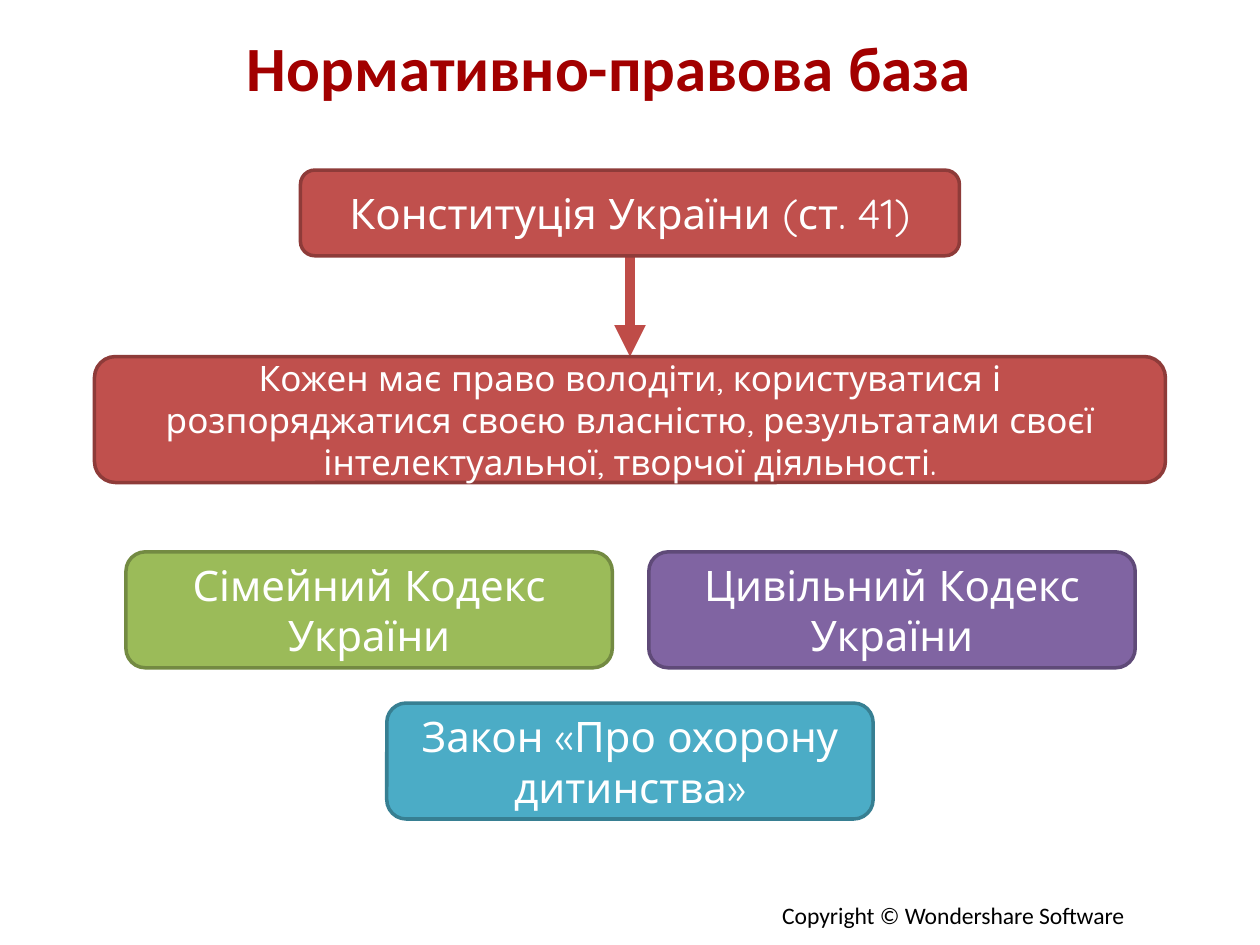
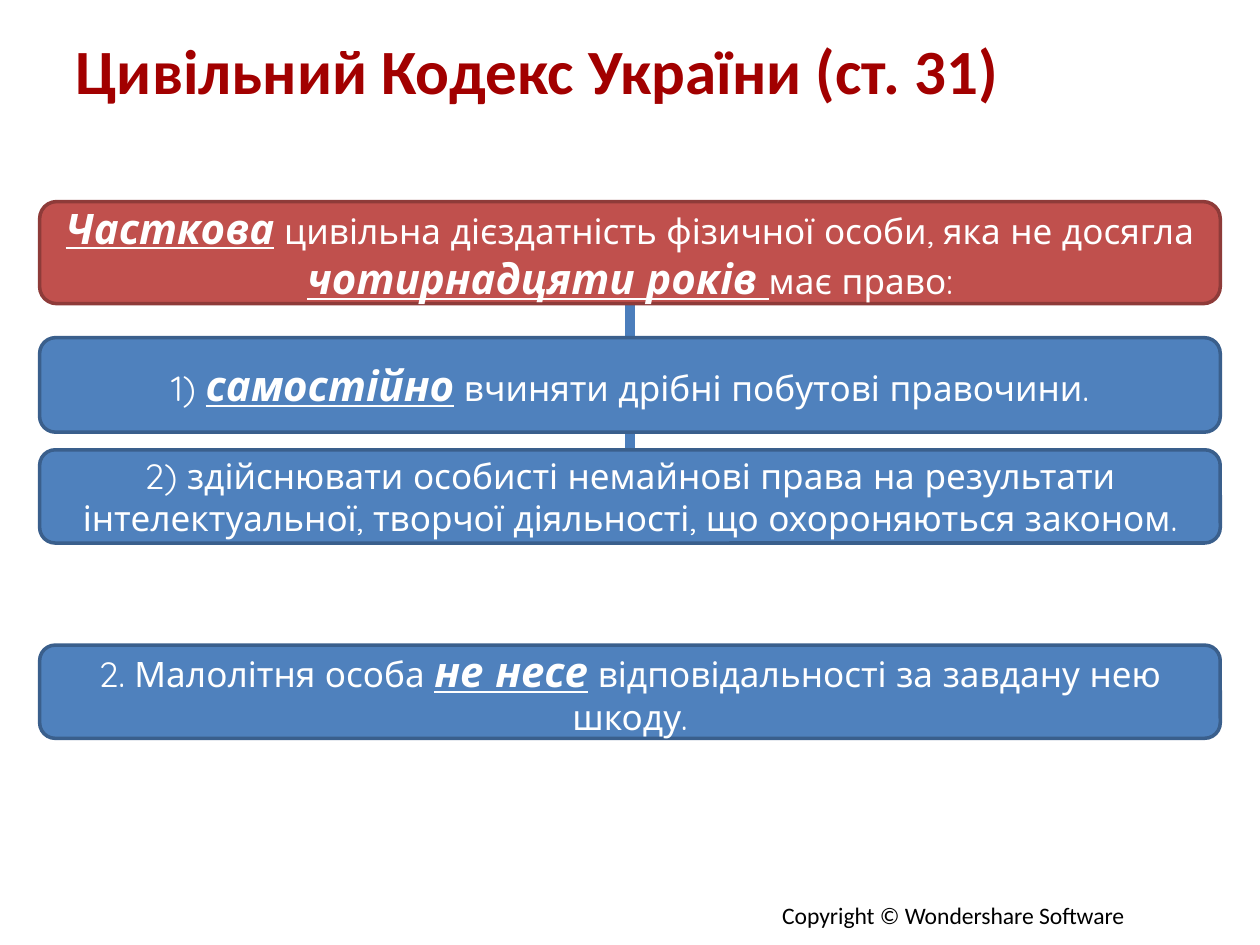
from lxml import etree
from pptx import Presentation
from pptx.dml.color import RGBColor
from pptx.enum.shapes import MSO_CONNECTOR, MSO_SHAPE
from pptx.enum.text import MSO_ANCHOR as ANCHOR, MSO_AUTO_SIZE as AUTO, PP_ALIGN as ALIGN
from pptx.oxml.ns import qn
from pptx.util import Inches, Pt

COLS, ROWS = 100, 75
MIDDLE = COLS / 2
TITLE_ONLY = 5
COLORS = {
    "title": "A20000", "footer": "000000", "text": "FFFFFF",
    "red": "C0504D", "red_edge": "8E3B39", "red_line": "BF4C48",
    "green": "9BBB59", "green_edge": "738A42",
    "purple": "8064A2", "purple_edge": "5F4A78",
    "aqua": "4BACC6", "aqua_edge": "377F92",
    "blue": "4F81BD", "blue_edge": "3A5F8C", "blue_line": "4B7EBC",
}


def rgb(name):
    return RGBColor.from_string(COLORS[name])


class Deck:
    """Holds the shared style and the slide being drawn, on a grid of COLS by ROWS."""

    title_font, box_font = "Calibri", "Quicksand"
    big, small = 24, 20

    def __init__(self):
        self.prs = Presentation()
        self.prs.slide_width, self.prs.slide_height = Inches(10), Inches(7.5)
        self.slide = None

    def x(self, cols):
        return round(self.prs.slide_width * cols / COLS)

    def y(self, rows):
        return round(self.prs.slide_height * rows / ROWS)

    def frame(self, left, top, width, height):
        return self.x(left), self.y(top), self.x(width), self.y(height)

    def style(self, r, font, size, color, bold=False):
        r.font.name, r.font.size, r.font.bold = font, Pt(size), bold
        r.font.color.rgb = rgb(color)

    def new_slide(self, title, left, top, width):
        self.slide = self.prs.slides.add_slide(self.prs.slide_layouts[TITLE_ONLY])
        sp = self.slide.shapes.title
        sp.left, sp.top, sp.width, sp.height = self.frame(left, top, width, 6.8)
        tf = sp.text_frame
        tf.text = title
        tf.auto_size, tf.vertical_anchor = AUTO.NONE, ANCHOR.MIDDLE
        p = tf.paragraphs[0]
        p.alignment = ALIGN.JUSTIFY
        self.style(p.runs[0], self.title_font, 36, "title", bold=True)
        self.footer()

    def footer(self):
        tf = self.slide.shapes.add_textbox(*self.frame(61.1, 71, 29.7, 3.3)).text_frame
        tf.text = "Copyright © Wondershare Software"
        tf.word_wrap, tf.auto_size = False, AUTO.SHAPE_TO_FIT_TEXT
        self.style(tf.paragraphs[0].runs[0], self.title_font, 13.5, "footer")

    def box(self, text, top, width, height, color, size=small, center=MIDDLE):
        """Draw a rounded box; text between asterisks is large, bold, italic and underlined."""
        sp = self.slide.shapes.add_shape(
            MSO_SHAPE.ROUNDED_RECTANGLE, *self.frame(center - width / 2, top, width, height))
        sp.shadow.inherit = False
        sp.fill.solid()
        sp.fill.fore_color.rgb = rgb(color)
        sp.line.color.rgb = rgb(color + "_edge")
        sp.line.width = Pt(2)
        tf = sp.text_frame
        tf.word_wrap, tf.vertical_anchor = True, ANCHOR.MIDDLE
        p = tf.paragraphs[0]
        p.alignment = ALIGN.CENTER
        for i, part in enumerate(text.split("*")):
            if not part:
                continue
            strong = i % 2 == 1
            r = p.add_run()
            r.text = part
            self.style(r, self.box_font, self.big if strong else size, "text", bold=strong)
            r.font.italic = r.font.underline = strong

    def link(self, top, bottom, color, arrow=False):
        """Draw a vertical line down the middle of the slide."""
        cx = self.x(MIDDLE)
        line = self.slide.shapes.add_connector(
            MSO_CONNECTOR.STRAIGHT, cx, self.y(top), cx, self.y(bottom))
        line.line.color.rgb = rgb(color + "_line")
        line.line.width = Pt(6)
        if arrow:
            etree.SubElement(line.line._get_or_add_ln(), qn("a:tailEnd"), type="triangle")
        etree.SubElement(line._element.spPr, qn("a:effectLst"))


def legal_basis(deck):
    deck.new_slide("Нормативно-правова база", 18.6, 1.9, 62.8)
    deck.link(20.3, 28.3, "red", arrow=True)
    deck.box("Конституція України (ст. 41)", 13.5, 52.3, 6.8, "red", deck.big)
    deck.box("Кожен має право володіти, користуватися і розпоряджатися своєю власністю, "
             "результатами своєї інтелектуальної, творчої діяльності.", 28.3, 85, 10, "red")
    laws = [
        ("Сімейний Кодекс України", 29.3, 43.8, "green"),
        ("Цивільний Кодекс України", 70.8, 43.8, "purple"),
        ("Закон «Про охорону дитинства»", MIDDLE, 55.8, "aqua"),
    ]
    for text, center, top, color in laws:
        deck.box(text, top, 38.6, 9.2, color, deck.big, center)


def civil_code(deck):
    deck.new_slide("Цивільний Кодекс України (ст. 31)", 5, 2.1, 75.5)
    deck.link(24.1, 43.1, "blue")
    clauses = [
        ("*Часткова* цивільна дієздатність фізичної особи, яка не досягла "
         "*чотирнадцяти років *має право:", 16, 8.1, "red"),
        ("1) *самостійно* вчиняти дрібні побутові правочини.", 26.8, 7.5, "blue"),
        ("2) здійснювати особисті немайнові права на результати інтелектуальної, "
         "творчої діяльності, що охороняються законом.", 35.7, 7.4, "blue"),
        ("2. Малолітня особа *не несе* відповідальності за завдану нею шкоду.",
         51.2, 7.4, "blue"),
    ]
    for text, top, height, color in clauses:
        deck.box(text, top, 93.7, height, color)


def main():
    deck = Deck()
    legal_basis(deck)
    civil_code(deck)
    deck.prs.save("out.pptx")


if __name__ == "__main__":
    main()
